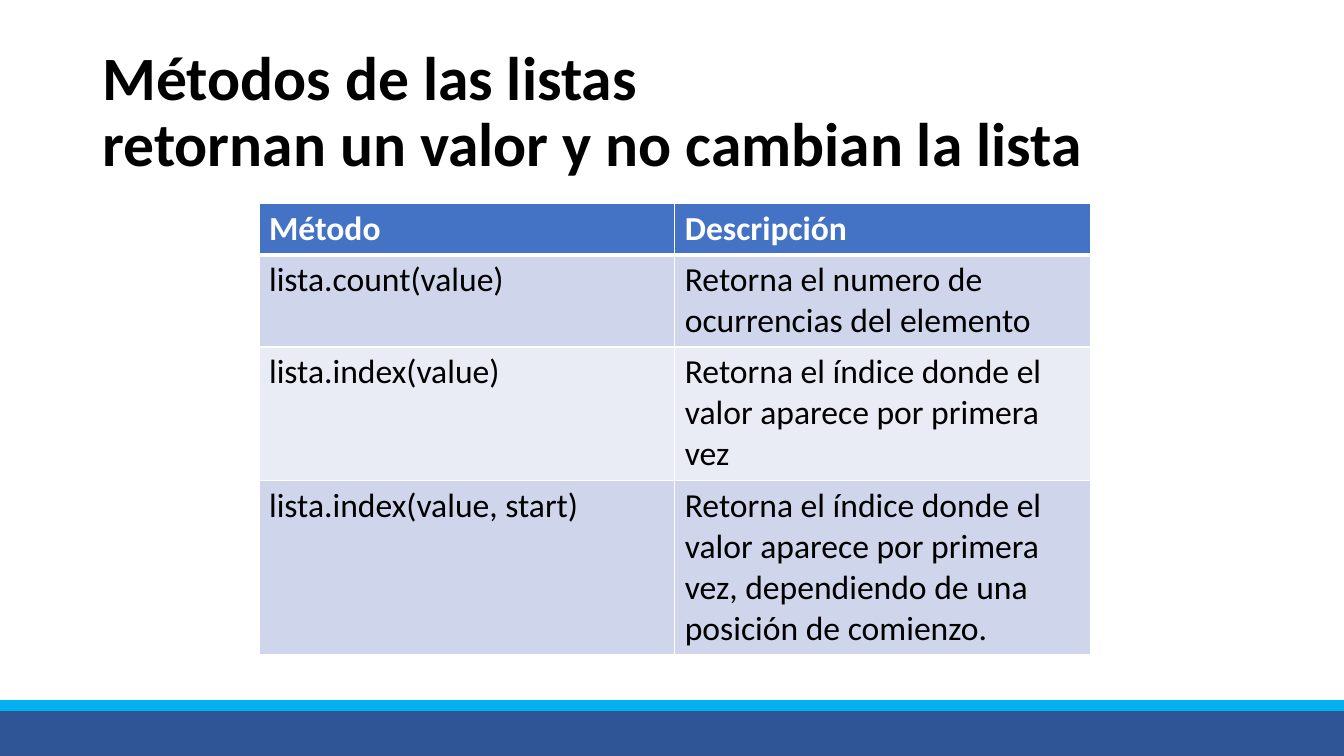
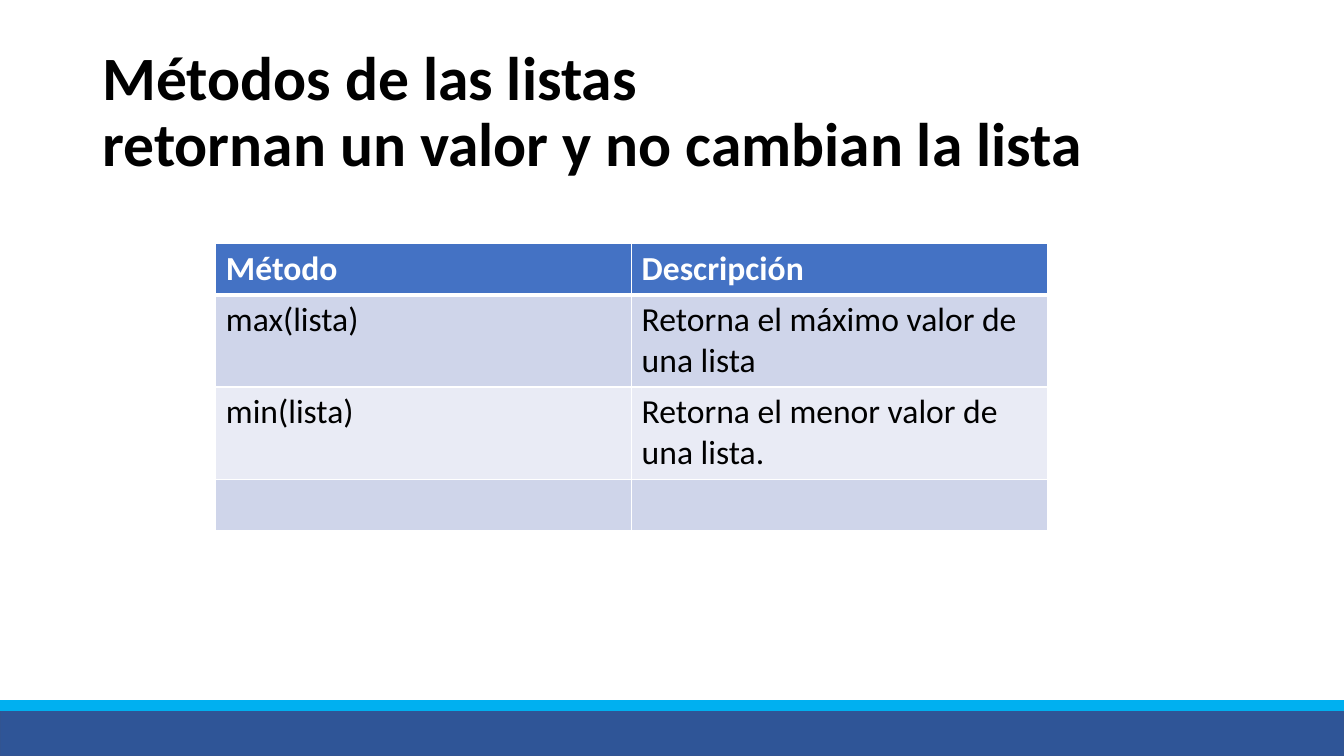
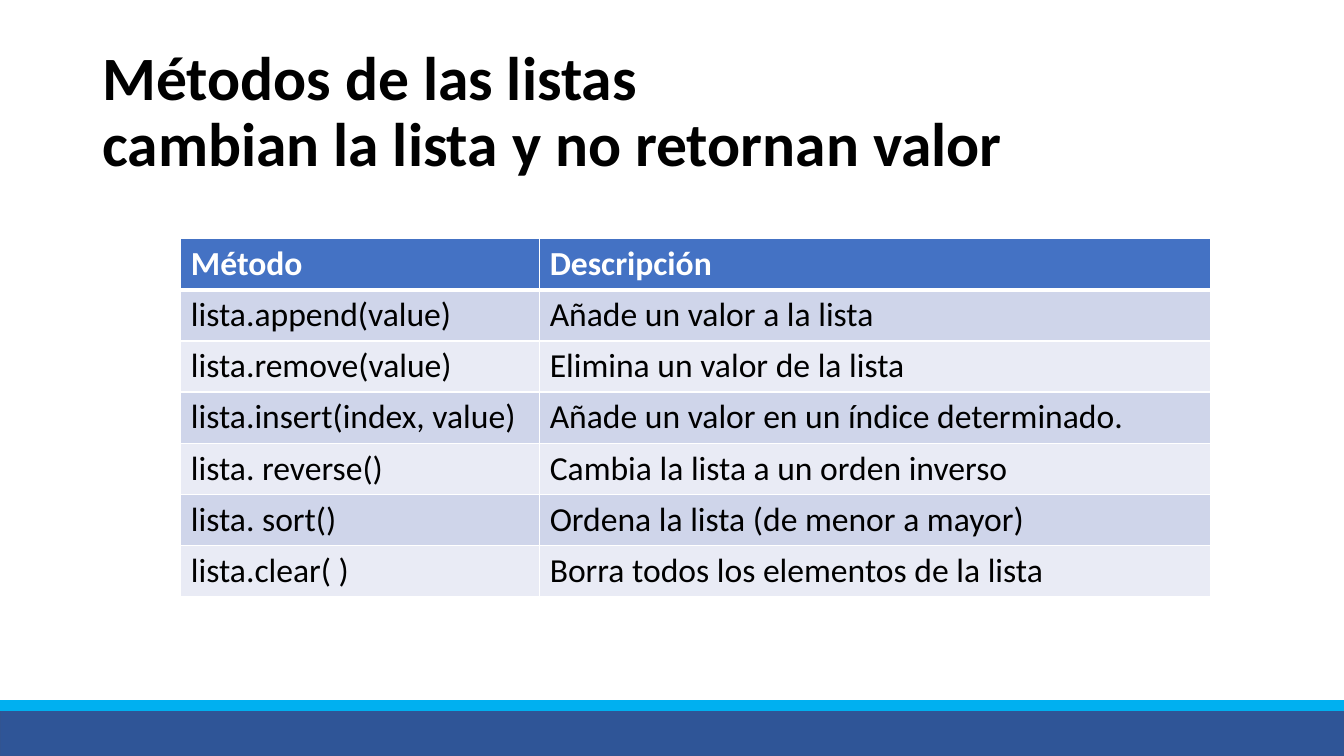
from lxml import etree
from pptx import Presentation
from pptx.dml.color import RGBColor
from pptx.enum.shapes import MSO_SHAPE
from pptx.enum.text import MSO_ANCHOR
from pptx.oxml.ns import qn
from pptx.util import Pt

RECT = MSO_SHAPE.RECTANGLE
MIDDLE = MSO_ANCHOR.MIDDLE

WIDTH, HEIGHT = 960, 540
FONT = "Calibri"
BLACK, WHITE = "000000", "FFFFFF"
HEADER_FILL = "4472C4"
ROW_FILLS = ("CFD5EA", "E9EBF5")
BANDS = ((506.2, 33.8, "2F5597", "325491"), (500.4, 7.2, "00B0F0", "00B0F0"))
TITLE_BOX = (66, 28.75, 828, 104.4)
LINE_HEIGHT, CELL_PADDING = 29.3, 7.2
HEADER = ("Método", "Descripción", 1)

SLIDES = [
    {
        "subtitle": "retornan un valor y no cambian la lista",
        "at": (185, 145.6),
        "widths": (297, 297),
        "rows": [
            ("lista.count(value)", "Retorna el numero de ocurrencias del elemento", 2),
            ("lista.index(value)", "Retorna el índice donde el valor aparece por primera vez", 3),
            ("lista.index(value, start)",
             "Retorna el índice donde el valor aparece por primera vez, "
             "dependiendo de una posición de comienzo.", 4),
        ],
    },
    {
        "subtitle": "retornan un valor y no cambian la lista",
        "at": (154.2, 174.2),
        "widths": (297, 297),
        "rows": [
            ("max(lista)", "Retorna el máximo valor de una lista", 2),
            ("min(lista)", "Retorna el menor valor de una lista.", 2),
            ("", "", 1),
        ],
    },
    {
        "subtitle": "cambian la lista y no retornan valor",
        "at": (129.2, 170.6),
        "widths": (256.3, 479),
        "rows": [
            ("lista.append(value)", "Añade un valor a la lista", 1),
            ("lista.remove(value)", "Elimina un valor de la lista", 1),
            ("lista.insert(index, value)", "Añade un valor en un índice determinado.", 1),
            ("lista. reverse()", "Cambia la lista a un orden inverso", 1),
            ("lista. sort()", "Ordena la lista (de menor a mayor)", 1),
            ("lista.clear( )", "Borra todos los elementos de la lista", 1),
        ],
    },
]


def rgb(value):
    """Turn a hex string into a colour."""
    return RGBColor.from_string(value)


def style_runs(p, size, color, bold):
    """Format every run of a paragraph."""
    for r in p.runs:
        r.font.name = FONT
        r.font.size = Pt(size)
        r.font.bold = bold
        r.font.color.rgb = rgb(color)


def add_bands(s):
    """Draw the two full-width bands at the foot of a slide."""
    for top, height, fill, line in BANDS:
        sp = s.shapes.add_shape(RECT, 0, Pt(top), Pt(WIDTH), Pt(height))
        sp.shadow.inherit = False
        sp.fill.solid()
        sp.fill.fore_color.rgb = rgb(fill)
        sp.line.color.rgb = rgb(line)
        sp.line.width = Pt(1)


def add_title(s, box, subtitle):
    """Write the two-line title in its box."""
    tf = s.shapes.add_textbox(*map(Pt, box)).text_frame
    tf.word_wrap = True
    tf.vertical_anchor = MIDDLE
    tf.text = f"Métodos de las listas\v{subtitle}"
    p = tf.paragraphs[0]
    p.line_spacing = 0.9
    style_runs(p, 44, BLACK, True)


def set_borders(cell, top, bottom):
    """Give a cell white borders, with the top and bottom widths in points."""
    tc_pr = cell._tc.get_or_add_tcPr()
    for side, width in (("L", 1), ("R", 1), ("T", top), ("B", bottom)):
        ln = etree.SubElement(tc_pr, qn(f"a:ln{side}"), w=str(Pt(width)))
        fill = etree.SubElement(ln, qn("a:solidFill"))
        etree.SubElement(fill, qn("a:srgbClr"), val=WHITE)


def add_method_table(s, at, widths, rows):
    """Build the table of methods with its top left corner at a point."""
    rows = [HEADER, *rows]
    heights = [CELL_PADDING + LINE_HEIGHT * lines for *_, lines in rows]
    box = (*at, sum(widths), sum(heights))
    table = s.shapes.add_table(len(rows), len(widths), *map(Pt, box)).table
    for column, width in zip(table.columns, widths):
        column.width = Pt(width)
    for i, (*texts, _) in enumerate(rows):
        table.rows[i].height = Pt(heights[i])
        is_header = i == 0
        fill = HEADER_FILL if is_header else ROW_FILLS[(i - 1) % 2]
        for j, text in enumerate(texts):
            cell = table.cell(i, j)
            set_borders(cell, 3 if i == 1 else 1, 3 if is_header else 1)
            cell.fill.solid()
            cell.fill.fore_color.rgb = rgb(fill)
            cell.text_frame.text = text
            style_runs(cell.text_frame.paragraphs[0], 24,
                       WHITE if is_header else BLACK, is_header)


def add_method_slide(prs, subtitle, at, widths, rows):
    """Add one slide with bands, title and table."""
    s = prs.slides.add_slide(prs.slide_layouts[6])
    add_bands(s)
    add_title(s, TITLE_BOX, subtitle)
    add_method_table(s, at, widths, rows)


def main():
    """Build and save the presentation."""
    prs = Presentation()
    prs.slide_width, prs.slide_height = Pt(WIDTH), Pt(HEIGHT)
    for content in SLIDES:
        add_method_slide(prs, **content)
    prs.save("out.pptx")


if __name__ == "__main__":
    main()
